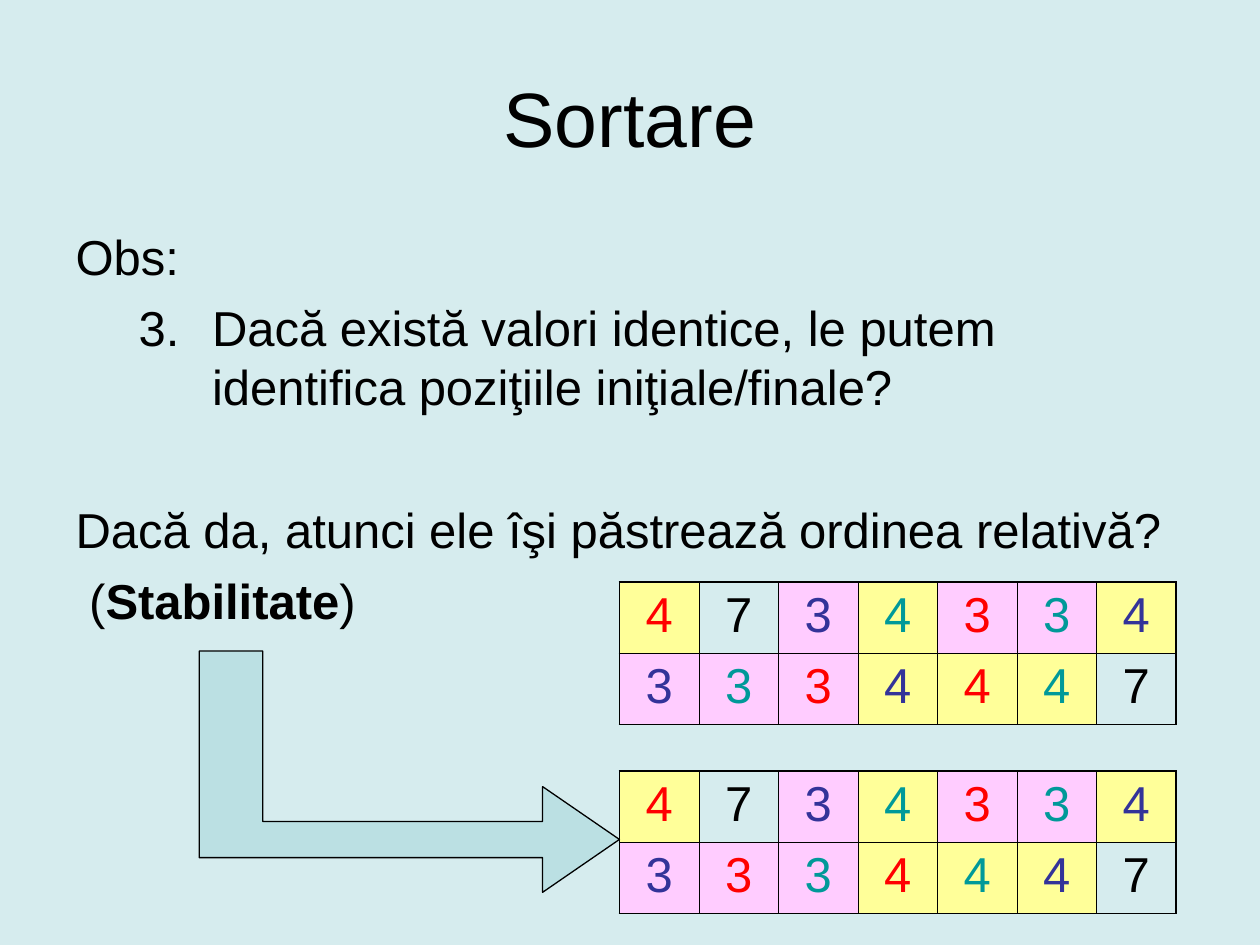
from lxml import etree
from pptx import Presentation
from pptx.dml.color import RGBColor
from pptx.enum.text import MSO_ANCHOR, MSO_AUTO_SIZE, PP_ALIGN
from pptx.oxml.ns import qn
from pptx.util import Pt

CENTER, LEFT = PP_ALIGN.CENTER, PP_ALIGN.LEFT
MIDDLE, TOP = MSO_ANCHOR.MIDDLE, MSO_ANCHOR.TOP
NO_FIT = MSO_AUTO_SIZE.NONE

FONT, BLACK = "Arial", "000000"
BACKGROUND, ARROW_FILL = "D6ECEE", "BBE0E3"
TITLE = "Sortare"
TITLE_BOX = (36, 21.6, 648, 90)
BODY_BOX = (36, 126, 653.76, 356.4)
# level, left margin, first-line indent, space before, number, runs (text, bold)
OBSERVATIONS = [
    (0, 48, -48, 0, None, [("Obs:", False)]),
    (1, 78, -42, 7, 3, [("Dacă există valori identice, le putem identifica "
                         "poziţiile iniţiale/finale?", False)]),
    (0, 48, -48, 48, None,
     [("Dacă da, atunci ele îşi păstrează ordinea relativă?", False)]),
    (0, 48, -40.2, 7, None,
     [("(", False), ("Stabilitate", True), (")", False)]),
]

INITIAL = "4r 7k 3b 4g 3r 3g 4b"
SORTINGS = [
    (INITIAL, "3b 3g 3r 4b 4r 4g 7k"),
    (INITIAL, "3b 3r 3g 4r 4g 4b 7k"),
]
INKS = {"r": "FF0000", "g": "009999", "b": "333399", "k": BLACK}
VALUE_FILLS = {"3": "FFCCFF", "4": "FFFF99"}
TABLE_LEFT, TABLE_TOP, TABLE_PITCH = 354, 332.6, 108
COLUMN_WIDTH, ROW_HEIGHT = 45.45, 40.7
OUTER_BORDER, INNER_BORDER = 1.08, 0.45

ARROW_POINTS = [(113.9, 372), (150.2, 372), (150.2, 469.4), (310.1, 469.4),
                (310.1, 449.5), (354, 479.7), (310.1, 509.9), (310.1, 490.1),
                (113.9, 490.1)]


def color(value):
    return RGBColor.from_string(value)


def paint(fill, value):
    fill.solid()
    fill.fore_color.rgb = color(value)


def add_run(paragraph, text, size, ink=BLACK, bold=False):
    run = paragraph.add_run()
    run.text = text
    run.font.name, run.font.size, run.font.bold = FONT, Pt(size), bold
    run.font.color.rgb = color(ink)


def place(placeholder, box, anchor):
    placeholder.left, placeholder.top, placeholder.width, placeholder.height = map(Pt, box)
    frame = placeholder.text_frame
    frame.word_wrap, frame.auto_size, frame.vertical_anchor = True, NO_FIT, anchor
    return frame


def add_observations(frame):
    for index, (level, margin, indent, gap, number, runs) in enumerate(OBSERVATIONS):
        paragraph = frame.add_paragraph() if index else frame.paragraphs[0]
        paragraph.level, paragraph.alignment = level, LEFT
        properties = paragraph._p.get_or_add_pPr()
        properties.set("marL", str(Pt(margin)))
        properties.set("indent", str(Pt(indent)))
        if number:
            etree.SubElement(properties, qn("a:buFont"), typeface=FONT)
            etree.SubElement(properties, qn("a:buAutoNum"),
                             type="arabicPeriod", startAt=str(number))
        else:
            etree.SubElement(properties, qn("a:buNone"))
        paragraph.space_before = Pt(gap)
        for text, bold in runs:
            add_run(paragraph, text, 28, bold=bold)


def set_borders(cell, outer_sides):
    properties = cell._tc.get_or_add_tcPr()
    for position, side in enumerate("LRTB"):
        width = OUTER_BORDER if side in outer_sides else INNER_BORDER
        border = etree.Element(qn(f"a:ln{side}"), w=str(Pt(width)))
        fill = etree.SubElement(border, qn("a:solidFill"))
        etree.SubElement(fill, qn("a:srgbClr"), val=BLACK)
        properties.insert(position, border)


def add_sorting(slide, sorting, top):
    rows = [row.split() for row in sorting]
    row_count, column_count = len(rows), len(rows[0])
    table = slide.shapes.add_table(
        row_count, column_count, Pt(TABLE_LEFT), Pt(top),
        Pt(COLUMN_WIDTH * column_count), Pt(ROW_HEIGHT * row_count)).table
    table.first_row = table.horz_banding = False
    for r, row in enumerate(rows):
        for c, (value, ink) in enumerate(row):
            cell = table.cell(r, c)
            if value in VALUE_FILLS:
                paint(cell.fill, VALUE_FILLS[value])
            else:
                cell.fill.background()
            edges = {"L": c == 0, "R": c == column_count - 1,
                     "T": r == 0, "B": r == row_count - 1}
            set_borders(cell, [side for side, outer in edges.items() if outer])
            paragraph = cell.text_frame.paragraphs[0]
            paragraph.alignment = CENTER
            add_run(paragraph, value, 28, INKS[ink])


def add_arrow(slide):
    start, *corners = [(Pt(x), Pt(y)) for x, y in ARROW_POINTS]
    builder = slide.shapes.build_freeform(*start)
    builder.add_line_segments(corners, close=True)
    arrow = builder.convert_to_shape()
    arrow.shadow.inherit = False
    paint(arrow.fill, ARROW_FILL)
    paint(arrow.line.fill, BLACK)
    arrow.line.width = Pt(0.75)


def main():
    """Build the slide about stable sorting."""
    presentation = Presentation()
    presentation.slide_width, presentation.slide_height = Pt(720), Pt(540)
    slide = presentation.slides.add_slide(presentation.slide_layouts[1])
    paint(slide.background.fill, BACKGROUND)
    heading = place(slide.shapes.title, TITLE_BOX, MIDDLE).paragraphs[0]
    heading.alignment = CENTER
    add_run(heading, TITLE, 44)
    add_observations(place(slide.placeholders[1], BODY_BOX, TOP))
    for index, sorting in enumerate(SORTINGS):
        add_sorting(slide, sorting, TABLE_TOP + index * TABLE_PITCH)
    add_arrow(slide)
    presentation.save("out.pptx")


if __name__ == "__main__":
    main()
